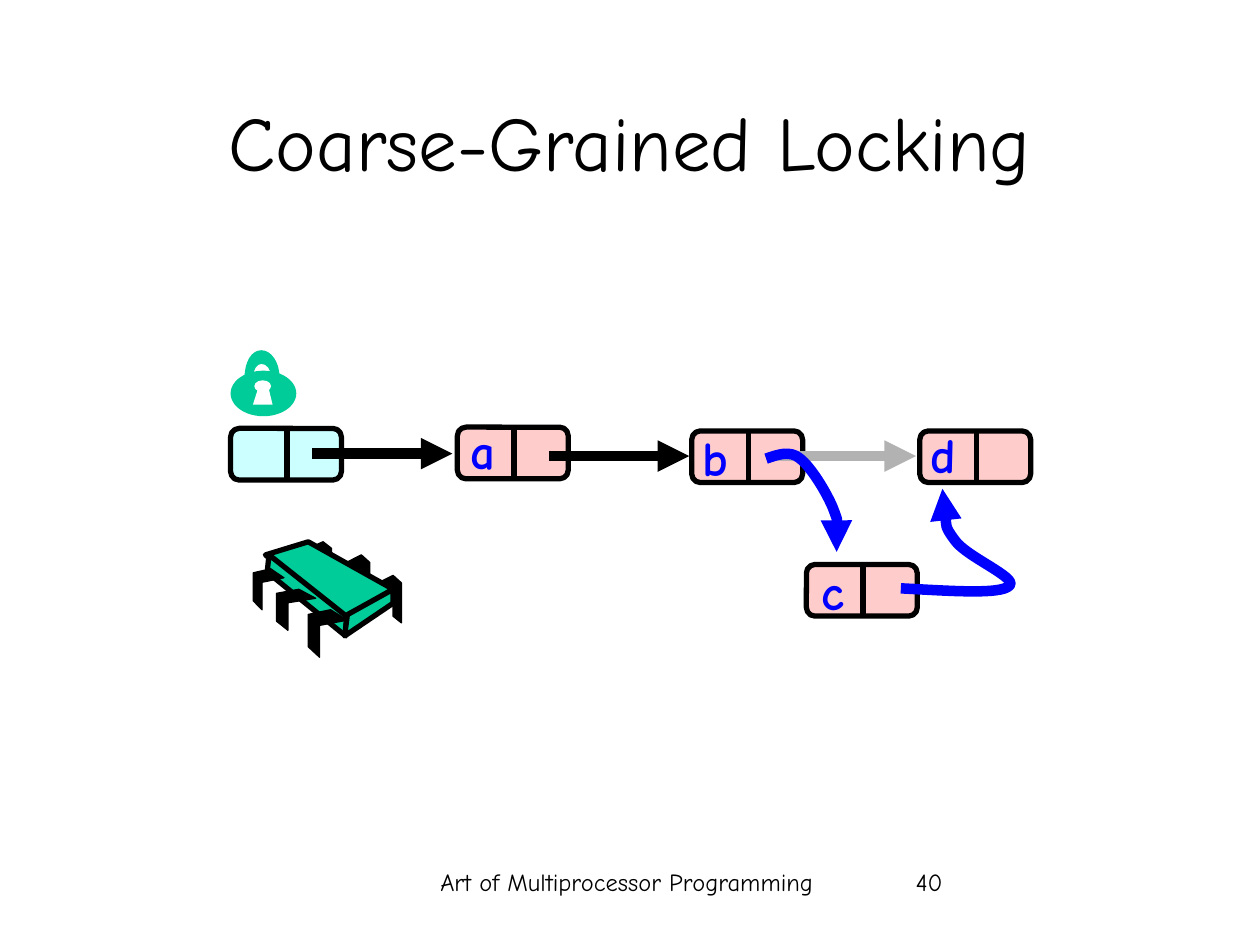
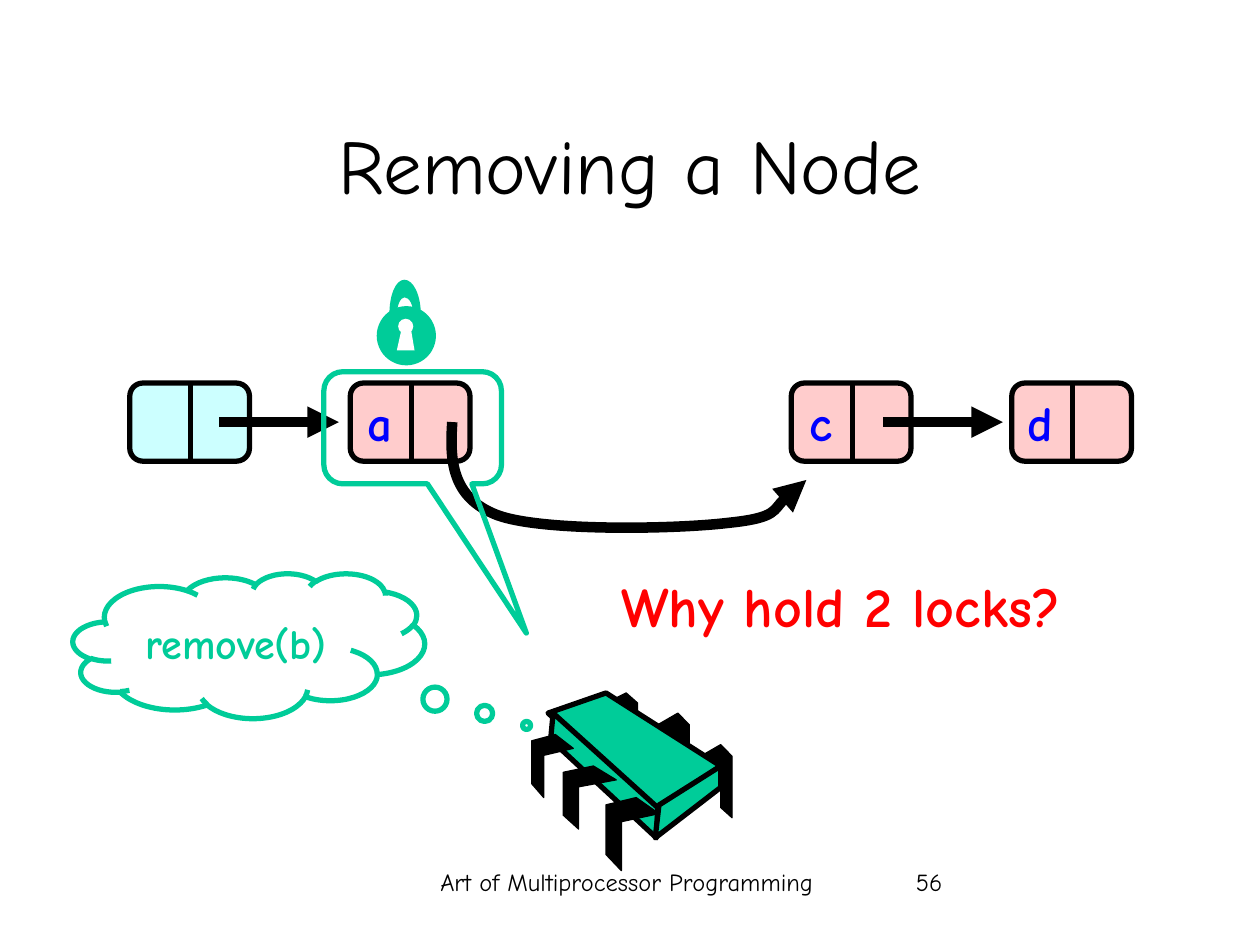
from pptx import Presentation
from pptx.dml.color import RGBColor
from pptx.enum.shapes import MSO_CONNECTOR, MSO_SHAPE
from pptx.enum.text import MSO_ANCHOR, MSO_AUTO_SIZE, PP_ALIGN
from pptx.oxml.ns import qn
from pptx.oxml.xmlchemy import OxmlElement
from pptx.util import Cm, Pt

OVAL, ROUND = MSO_SHAPE.OVAL, MSO_SHAPE.ROUNDED_RECTANGLE
BUBBLE, CLOUD = MSO_SHAPE.ROUNDED_RECTANGULAR_CALLOUT, MSO_SHAPE.CLOUD_CALLOUT
LEFT, MID, RIGHT = PP_ALIGN.LEFT, PP_ALIGN.CENTER, PP_ALIGN.RIGHT
STRAIGHT = MSO_CONNECTOR.STRAIGHT

FONT = "Comic Neue"
COLORS = {"black": "000000", "white": "FFFFFF", "gray": "B2B2B2", "blue": "0000FF",
          "red": "FF0000", "green": "00CC99", "head": "CCFFFF", "node": "FFCCCC"}
FOOTER = "Art of Multiprocessor Programming"

# Content: all places are in units of 2.54 cm
# node: letter, left, top, shift of the letter box (x, y, width)
# arrow: start, end, colour; curve: colour, start point and Bezier points
# chip and lock: left, top, horizontal and vertical scale
SLIDES = [
    {"title": "Coarse-Grained Locking", "top": 0.49, "number": "40",
     "size": (0.88, 0.41),
     "nodes": [("", 1.83, 3.4, None),
               ("a", 3.63, 3.39, (-0.02, -0.1, 0.42)),
               ("b", 5.49, 3.42, (-0.04, -0.08, 0.43)),
               ("d", 7.3, 3.42, (-0.04, -0.1, 0.43)),
               ("c", 6.4, 4.48, (0, -0.07, 0.4))],
     "arrows": [((2.48, 3.6), (3.59, 3.6), "black"),
                ((6.17, 3.62), (7.27, 3.62), "gray"),
                ((4.36, 3.62), (5.47, 3.62), "black")],
     "curves": [("blue", [(7.15, 4.67), (7.54, 4.69), (7.94, 4.72), (8.01, 4.65),
                          (8.09, 4.59), (7.67, 4.42), (7.58, 4.29),
                          (7.49, 4.17), (7.49, 4.02), (7.48, 3.88)]),
                ("blue", [(6.08, 3.64), (6.17, 3.61), (6.27, 3.57), (6.35, 3.64),
                          (6.44, 3.71), (6.56, 3.91), (6.61, 4.03),
                          (6.66, 4.16), (6.65, 4.27), (6.64, 4.38)])],
     "chip": (2.01, 4.3, 0.74, 0.65), "lock": (1.83, 2.78, 1.11, 0.77),
     "calls": [], "notes": []},
    {"title": "Removing a Node", "top": 0.67, "number": "56",
     "size": (0.95, 0.62),
     "nodes": [("", 1.03, 3.04, None),
               ("a", 2.78, 3.04, (0.01, 0.03, 0.42)),
               ("c", 6.28, 3.04, (0.03, 0.03, 0.4)),
               ("d", 8.03, 3.04, (0, 0.03, 0.43))],
     "arrows": [((1.74, 3.35), (2.69, 3.35), "black"),
                ((7.01, 3.35), (7.96, 3.35), "black")],
     "curves": [("black", [(3.59, 3.35), (3.57, 3.65), (3.58, 3.95), (3.95, 4.09),
                           (4.31, 4.22), (5.37, 4.2), (5.78, 4.15),
                           (6.18, 4.11), (6.27, 3.88), (6.4, 3.81)])],
     "chip": (4.22, 5.5, 1, 1), "lock": (2.99, 2.22, 1, 1),
     "calls": [(BUBBLE, (2.57, 2.95, 1.41, 0.89), (0.64, 1.83, 0.17), ""),
               (CLOUD, (0.58, 4.55, 2.79, 1.15), (0.79, 0.55), "remove(b)")],
     "notes": [("Why hold 2 locks?", (3.85, 4.49, 5.65, 0.63))]},
]

# Chip parts: a leg outline on a unit square, and the boxes it fills
BACK = [(0, 0.16), (0.64, 0), (1, 0.16), (1, 1), (0.64, 0.86), (0.64, 0.29), (0, 0.43)]
FRONT = [(0.57, 0), (1, 0.22), (0.29, 0.33), (0.29, 1), (0, 0.78), (0, 0.1)]
REAR_LEGS = [(1.34, 0.41, 0.25, 0.58), (1, 0.16, 0.25, 0.58), (0.59, 0, 0.25, 0.5)]
FORE_LEGS = [(0.59, 0.83, 0.42, 0.58), (0.25, 0.58, 0.42, 0.5), (0, 0.33, 0.33, 0.5)]
FACES = [[(0.59, 0), (1.5, 0.58), (0.99, 0.93), (0.13, 0.16)],
         [(0.17, 0.16), (1, 0.91), (0.99, 1.15), (0.15, 0.37)],
         [(1.5, 0.58), (1.5, 0.75), (0.98, 1.15), (1.01, 0.89)]]

# Lock parts
DISKS = [("green", (0, 0.21, 0.47, 0.47)), ("white", (0.17, 0.31, 0.12, 0.12))]
KEYHOLE = [(0.16, 0.56), (0.2, 0.38), (0.27, 0.38), (0.3, 0.56)]
SHACKLE = [(0.16, 0.28), (0.16, 0.2), (0.19, 0.14), (0.22, 0.14),
           (0.26, 0.14), (0.29, 0.2), (0.29, 0.28), (0.35, 0.28),
           (0.35, 0.12), (0.29, 0), (0.22, 0), (0.15, 0), (0.1, 0.12), (0.1, 0.28)]


# Helpers
def cm(*units):
    return [Cm(2.54 * unit) for unit in units]


def rgb(name):
    return RGBColor.from_string(COLORS[name])


def fit(points, box):
    left, top, wide, high = box
    return [(left + wide * x, top + high * y) for x, y in points]


def paint(shape, fill=None, line=None, width=3):
    shape.shadow.inherit = False
    if fill:
        shape.fill.solid()
        shape.fill.fore_color.rgb = rgb(fill)
    else:
        shape.fill.background()
    if line:
        shape.line.color.rgb = rgb(line)
        shape.line.width = Pt(width)
    else:
        shape.line.fill.background()


def write(shape, text, size, color="black", align=MID, bold=False):
    para = shape.text_frame.paragraphs[0]
    para.text = text
    para.alignment = align
    for run in para.runs:
        font = run.font
        font.name, font.size, font.bold = FONT, Pt(size), bold
        font.color.rgb = rgb(color)


def label(slide, box, text, size, *style, **more):
    shape = slide.shapes.add_textbox(*cm(*box))
    shape.text_frame.word_wrap = True
    write(shape, text, size, *style, **more)
    return shape.text_frame


def tip(shape):
    end = OxmlElement("a:tailEnd")
    end.set("type", "triangle")
    shape.line._get_or_add_ln().append(end)


def rule(slide, start, end, color, width):
    line = slide.shapes.add_connector(STRAIGHT, *cm(*start, *end))
    line.line.color.rgb = rgb(color)
    line.line.width = Pt(width)
    line._element.spPr.append(OxmlElement("a:effectLst"))
    return line


def trace(slide, points, close=True, kinds=""):
    """Draw an outline; kinds names each step: L for a line, C for a Bezier."""
    spots = [cm(*point) for point in points]
    form = slide.shapes.build_freeform(*spots[0])
    form.add_line_segments(spots[1:], close=close)
    shape = form.convert_to_shape()
    steps = iter(shape._element.findall(".//" + qn("a:lnTo")))
    for kind in kinds:
        step = next(steps)
        if kind == "C":
            bend = OxmlElement("a:cubicBezTo")
            step.addprevious(bend)
            for part in (step, next(steps), next(steps)):
                bend.append(part[0])
                part.getparent().remove(part)
    return shape


# Parts of the drawing
def add_node(slide, size, letter, left, top, shift):
    wide, high = size
    box = slide.shapes.add_shape(ROUND, *cm(left, top, wide, high))
    paint(box, "node" if letter else "head", "black")
    split = left + 0.51 * wide
    rule(slide, (split, top - 0.01), (split, top + high + 0.01), "black", 3)
    if letter:
        dx, dy, span = shift
        frame = label(slide, (left + dx, top + dy, span, 0.57), letter, 28,
                      "blue", RIGHT, bold=True)
        frame.word_wrap = False
        frame.auto_size = MSO_AUTO_SIZE.SHAPE_TO_FIT_TEXT


def add_chip(slide, place):
    def legs(outline, boxes):
        for box in boxes:
            leg = trace(slide, fit(fit(outline, box), place))
            paint(leg, "black", "black", 0.75)

    legs(BACK, REAR_LEGS)
    for face in FACES:
        paint(trace(slide, fit(face, place)), "green", "black")
    legs(FRONT, FORE_LEGS)


def add_lock(slide, place):
    sx, sy = place[2:]
    for color, (x, y, wide, high) in DISKS:
        spot = fit([(x, y)], place)[0]
        disk = slide.shapes.add_shape(OVAL, *cm(*spot, wide * sx, high * sy))
        paint(disk, color)
    paint(trace(slide, fit(KEYHOLE, place)), "white")
    paint(trace(slide, fit(SHACKLE, place), kinds="CCLCC"), "green")


def add_call(slide, kind, box, tune, text):
    call = slide.shapes.add_shape(kind, *cm(*box))
    for i, value in enumerate(tune):
        call.adjustments[i] = value
    paint(call, None, "green")
    if text:
        call.text_frame.vertical_anchor = MSO_ANCHOR.MIDDLE
        write(call, text, 24, "green", bold=True)


def add_slide(deck, data):
    slide = deck.slides.add_slide(deck.slide_layouts[6])
    # Footer and title
    label(slide, (3.1, 6.83, 3.75, 0.5), FOOTER, 14)
    label(slide, (7.17, 6.83, 2.08, 0.5), data["number"], 14, align=LEFT)
    title = label(slide, (0.75, data["top"], 8.5, 1.25), data["title"], 44)
    title.vertical_anchor = MSO_ANCHOR.MIDDLE
    # Linked list
    for node in data["nodes"]:
        add_node(slide, data["size"], *node)
    for start, end, color in data["arrows"]:
        tip(rule(slide, start, end, color, 6))
    for color, points in data["curves"]:
        bow = trace(slide, points, close=False, kinds="CCC")
        paint(bow, None, color, 6)
        tip(bow)
    # Thread, lock and remarks
    add_chip(slide, data["chip"])
    for call in data["calls"]:
        add_call(slide, *call)
    add_lock(slide, data["lock"])
    for text, box in data["notes"]:
        label(slide, box, text, 32, "red", bold=True)


def main():
    deck = Presentation()
    deck.slide_width, deck.slide_height = cm(10, 7.5)
    for data in SLIDES:
        add_slide(deck, data)
    deck.save("out.pptx")


if __name__ == "__main__":
    main()
